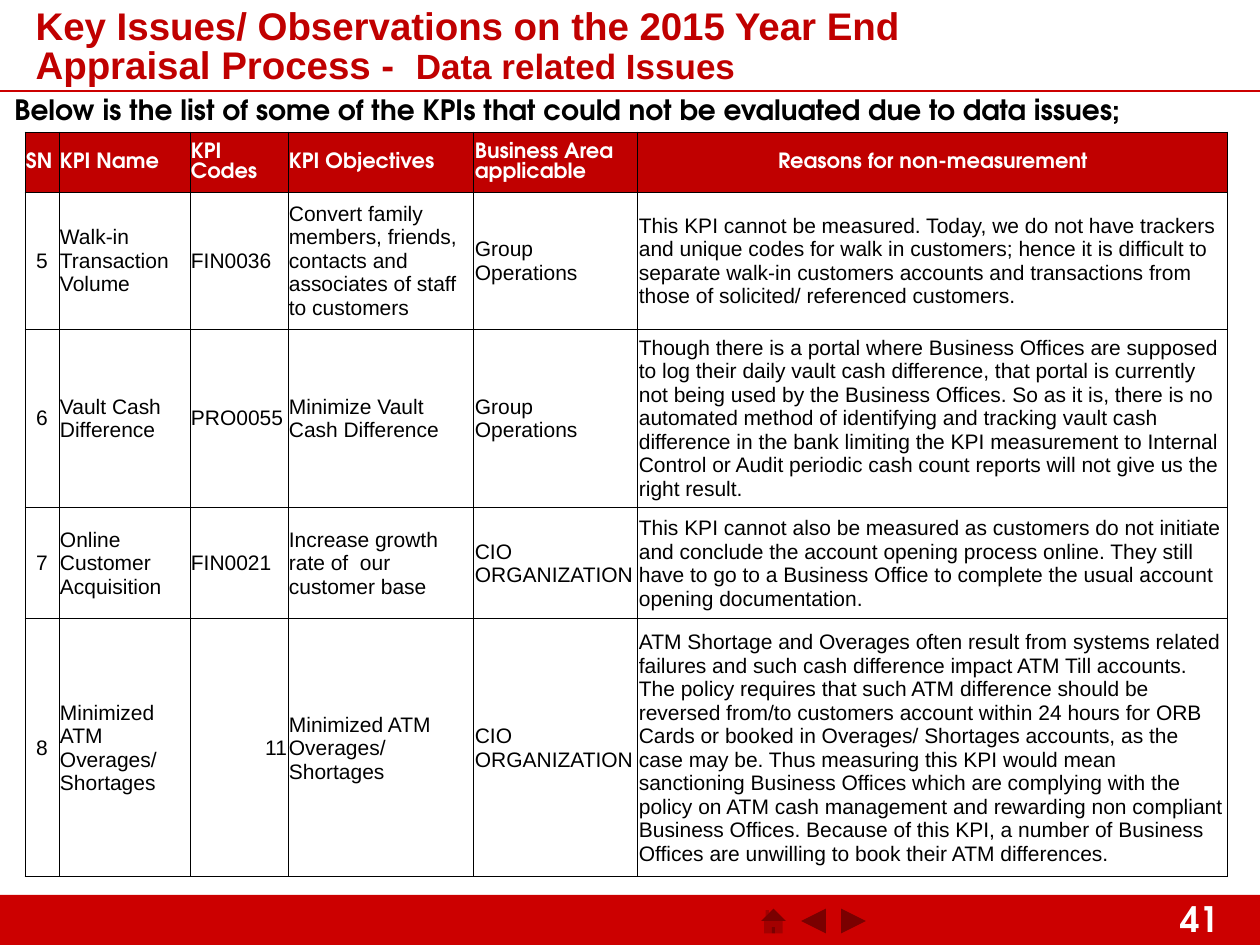
import pptx
import pptx.util
import pptx.dml.color
import pptx.enum.shapes
import pptx.enum.text
from lxml import etree

RGB = pptx.dml.color.RGBColor
SHAPE = pptx.enum.shapes.MSO_SHAPE
ALIGN = pptx.enum.text.PP_ALIGN
ANCHOR = pptx.enum.text.MSO_ANCHOR

BAR_RED = RGB(0xCC, 0x00, 0x00)
DEEP_RED = RGB(0xC0, 0x00, 0x00)
WHITE = RGB(0xFF, 0xFF, 0xFF)
BLACK = RGB(0x00, 0x00, 0x00)

PX_PER_INCH = 126
HEADING_FONT = "TeX Gyre Adventor"
BODY_FONT = "Arial"
DRAWING_NS = "http://schemas.openxmlformats.org/drawingml/2006/main"

COLUMN_WIDTHS = [34, 131, 98, 186, 164, 590]
ROW_HEIGHTS = [60, 137, 178, 112, 258]
HEADERS = ["SN", "KPI Name", "KPI Codes", "KPI Objectives",
           "Business Area applicable", "Reasons for non-measurement"]
KPIS = [
    ["5", "Walk-in Transaction Volume", "FIN0036",
     "Convert family members, friends, contacts and associates of staff to customers",
     "Group Operations",
     "This KPI cannot be measured. Today, we do not have trackers and unique codes for "
     "walk in customers; hence it is difficult to separate walk-in customers accounts and "
     "transactions from those of solicited/ referenced customers."],
    ["6", "Vault Cash Difference", "PRO0055", "Minimize Vault Cash Difference",
     "Group Operations",
     "Though there is a portal where Business Offices are supposed to log their daily vault "
     "cash difference, that portal is currently not being used by the Business Offices. So as "
     "it is, there is no automated method of identifying and tracking vault cash difference in "
     "the bank limiting the KPI measurement to Internal Control or Audit periodic cash count "
     "reports will not give us the right result."],
    ["7", "Online Customer Acquisition", "FIN0021",
     "Increase growth rate of  our customer base", "CIO ORGANIZATION",
     "This KPI cannot also be measured as customers do not initiate and conclude the account "
     "opening process online. They still have to go to a Business Office to complete the usual "
     "account opening documentation."],
    ["8", "Minimized ATM Overages/ Shortages", "11", "Minimized ATM Overages/ Shortages",
     "CIO ORGANIZATION",
     "ATM Shortage and Overages often result from systems related failures and such cash "
     "difference impact ATM Till accounts. The policy requires that such ATM difference should "
     "be reversed from/to customers account within 24 hours for ORB Cards or booked in Overages/ "
     "Shortages accounts, as the case may be. Thus measuring this KPI would mean sanctioning "
     "Business Offices which are complying with the policy on ATM cash management and rewarding "
     "non compliant Business Offices. Because of this KPI, a number of Business Offices are "
     "unwilling to book their ATM differences."],
]


def px(length):
    return round(length * 914400 / PX_PER_INCH)


def set_values(target, values):
    for name, value in values.items():
        setattr(target, name, value)


def add_span(para, text, size, color, font=HEADING_FONT, bold=True):
    span = para.add_run()
    span.text = text
    set_values(span.font, {"name": font, "size": pptx.util.Pt(size), "bold": bold})
    span.font.color.rgb = color


def add_title(page, frame, spans):
    title = page.shapes.title
    set_values(title, dict(zip(("left", "top", "width", "height"), map(px, frame))))
    set_values(title.text_frame, {"word_wrap": True, "vertical_anchor": ANCHOR.MIDDLE,
                                  "auto_size": pptx.enum.text.MSO_AUTO_SIZE.NONE})
    para = title.text_frame.paragraphs[0]
    set_values(para, {"alignment": ALIGN.LEFT, "line_spacing": 0.85,
                      "space_before": pptx.util.Pt(0)})
    for text, size in spans:
        add_span(para, text, size, DEEP_RED, BODY_FONT)


def add_text(page, frame, text, size, color):
    box = page.shapes.add_textbox(*map(px, frame))
    box.text_frame.word_wrap = True
    add_span(box.text_frame.paragraphs[0], text, size, color)


def add_red_shape(page, kind, frame, flipped=False):
    shape = page.shapes.add_shape(kind, *map(px, frame))
    shape.shadow.inherit = False
    shape.fill.solid()
    shape.fill.fore_color.rgb = BAR_RED
    shape.line.fill.background()
    if flipped:
        shape.element.spPr.xfrm.set("flipH", "1")


def add_rule(page, y, width):
    rule = page.shapes.add_connector(pptx.enum.shapes.MSO_CONNECTOR.STRAIGHT,
                                     0, px(y), px(width), px(y))
    rule.line.color.rgb = BAR_RED
    rule.line.width = pptx.util.Pt(0.75)
    etree.SubElement(rule.element.spPr, f"{{{DRAWING_NS}}}effectLst")


def add_borders(cell):
    properties = cell._tc.get_or_add_tcPr()
    for side in ("lnL", "lnR", "lnT", "lnB"):
        border = etree.SubElement(properties, f"{{{DRAWING_NS}}}{side}",
                                  w=str(pptx.util.Pt(0.5)))
        fill = etree.SubElement(border, f"{{{DRAWING_NS}}}solidFill")
        etree.SubElement(fill, f"{{{DRAWING_NS}}}srgbClr", val=str(BLACK))


def cell_alignment(row, column, text):
    # Serial numbers and the last header are centred, numeric codes go right
    if (row > 0 and column == 0) or (row == 0 and column == len(HEADERS) - 1):
        return ALIGN.CENTER
    return ALIGN.RIGHT if text.isdigit() else ALIGN.LEFT


def fill_cell(cell, row, column, text):
    set_values(cell, {"margin_left": px(1), "margin_right": px(1), "margin_top": px(1),
                      "margin_bottom": 0, "vertical_anchor": ANCHOR.MIDDLE})
    add_borders(cell)
    para = cell.text_frame.paragraphs[0]
    para.alignment = cell_alignment(row, column, text)
    if row == 0:
        cell.fill.solid()
        cell.fill.fore_color.rgb = DEEP_RED
        add_span(para, text, 12, WHITE)
    else:
        cell.fill.background()
        add_span(para, text, 12, BLACK, BODY_FONT, False)


def add_kpi_table(page, left, top):
    rows = [HEADERS] + KPIS
    frame = (left, top, sum(COLUMN_WIDTHS), sum(ROW_HEIGHTS))
    table = page.shapes.add_table(len(rows), len(HEADERS), *map(px, frame)).table
    set_values(table, {"first_row": False, "horz_banding": False})
    for column, width in zip(table.columns, COLUMN_WIDTHS):
        column.width = px(width)
    for row, height in zip(table.rows, ROW_HEIGHTS):
        row.height = px(height)
    for row, texts in enumerate(rows):
        for column, text in enumerate(texts):
            fill_cell(table.cell(row, column), row, column, text)


def main():
    deck = pptx.Presentation()
    set_values(deck, {"slide_width": px(1260), "slide_height": px(945)})
    page = deck.slides.add_slide(deck.slide_layouts[5])

    # Footer bar with page number and navigation buttons
    add_red_shape(page, SHAPE.RECTANGLE, (0, 895, 1260, 50))
    add_text(page, (1168, 891, 92, 54), "41", 20, WHITE)
    buttons = [SHAPE.ACTION_BUTTON_HOME, SHAPE.ACTION_BUTTON_FORWARD_OR_NEXT,
               SHAPE.ACTION_BUTTON_BACK_OR_PREVIOUS, SHAPE.ACTION_BUTTON_CUSTOM]
    for index, kind in enumerate(buttons):
        add_red_shape(page, kind, (757 + 40 * index, 900, 33, 42), flipped=True)

    # Heading
    add_rule(page, 91, 1260)
    add_text(page, (2, 86, 1203, 47),
             "Below is the list of some of the KPIs that could not be evaluated due to data issues;",
             16, BLACK)
    add_title(page, (23, 10, 995, 76),
              [("Key Issues/ Observations on the 2015 Year End Appraisal Process -  ", 22),
               ("Data related Issues", 20)])

    # KPI table
    add_kpi_table(page, 25, 132)
    deck.save("out.pptx")


if __name__ == "__main__":
    main()
